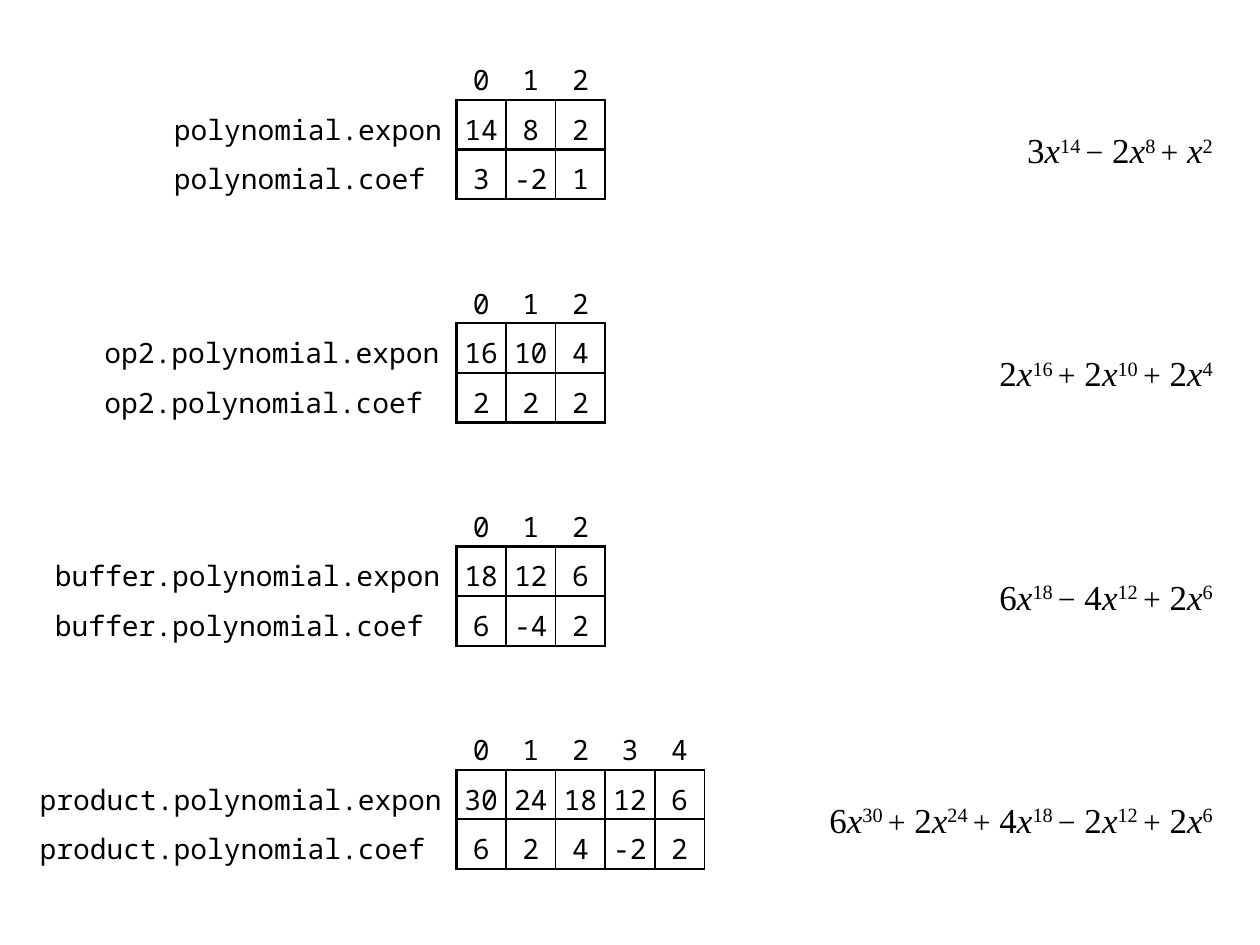
from dataclasses import dataclass

import lxml.etree
import pptx
import pptx.dml.color
import pptx.enum.text
import pptx.oxml.ns
import pptx.util

BLACK = pptx.dml.color.RGBColor(0, 0, 0)
MONO, SERIF = "Noto Sans Mono", "Times New Roman"
ALIGN = pptx.enum.text.PP_ALIGN
MIDDLE = pptx.enum.text.MSO_ANCHOR.MIDDLE

# Grid: square one-centimetre cells
CELL = pptx.util.Cm(1)
ARRAY_LEFT = 9.2 * CELL
FORMULA_RIGHT = 24.7 * CELL
TOP = pptx.util.Inches(0.4)
PITCH = 4.5 * CELL
THIN, THICK = 1, 1.5


@dataclass
class Polynomial:
    name: str
    expon: list[int]
    coef: list[int]
    label_cells: float
    label_inset: float
    formula_cells: float


POLYNOMIALS = [
    Polynomial("polynomial", [14, 8, 2], [3, -2, 1], 6, 0.12, 5),
    Polynomial("op2.polynomial", [16, 10, 4], [2, 2, 2], 7.5, 0.16, 5.5),
    Polynomial("buffer.polynomial", [18, 12, 6], [6, -4, 2], 8.5, 0.16, 5.6),
    Polynomial("product.polynomial", [30, 24, 18, 12, 6], [6, 2, 4, -2, 2], 8.5, 0.04, 10),
]


def add_child(parent, tag: str, **attributes: str):
    return lxml.etree.SubElement(parent, pptx.oxml.ns.qn(tag), **attributes)


def set_borders(cell, widths: dict[str, float]) -> None:
    """Draw the sides named in widths (points) and clear the others."""
    properties = cell._tc.get_or_add_tcPr()
    for side in "LRTB":
        width = widths.get(side, 0)
        line = add_child(properties, f"a:ln{side}", w=str(int(pptx.util.Pt(width))))
        if width:
            add_child(add_child(line, "a:solidFill"), "a:srgbClr", val=str(BLACK))
        else:
            add_child(line, "a:noFill")


def border_widths(row: int, column: int) -> dict[str, float]:
    if column == 0:
        return {"R": THICK} if row else {}
    if row == 0:
        return {"B": THICK}
    return {"L": THICK if column == 1 else THIN, "R": THIN, "T": THICK, "B": THICK}


def add_arrays(slide, poly: Polynomial, top: float) -> None:
    """Table with an index row over the exponent and coefficient arrays."""
    rows = [
        ["", *range(len(poly.expon))],
        [f"{poly.name}.expon", *poly.expon],
        [f"{poly.name}.coef", *poly.coef],
    ]
    label_width = poly.label_cells * CELL
    columns = len(rows[0])
    table = slide.shapes.add_table(
        len(rows), columns, int(ARRAY_LEFT - label_width), int(top),
        int(label_width + (columns - 1) * CELL), len(rows) * CELL).table
    table.first_row = table.horz_banding = False
    for index, column in enumerate(table.columns):
        column.width = CELL if index else int(label_width)

    for r, values in enumerate(rows):
        table.rows[r].height = CELL
        for c, value in enumerate(values):
            cell = table.cell(r, c)
            cell.text = str(value)
            cell.vertical_anchor = MIDDLE
            cell.margin_top = cell.margin_bottom = 0
            cell.margin_left = 0 if c else pptx.util.Inches(poly.label_inset)
            cell.margin_right = 0 if c else pptx.util.Inches(0.1)
            paragraph = cell.text_frame.paragraphs[0]
            paragraph.alignment = ALIGN.CENTER if c else ALIGN.LEFT
            paragraph.line_spacing = 1.25
            paragraph.font.name = MONO
            paragraph.font.size = pptx.util.Pt(16)
            paragraph.font.color.rgb = BLACK
            set_borders(cell, border_widths(r, c))
            cell.fill.background()


def add_run(paragraph, text: str, size: float = 20, italic: bool = False,
            raised: bool = False) -> None:
    run = paragraph.add_run()
    run.text = text
    run.font.size = pptx.util.Pt(size)
    run.font.name = SERIF
    run.font.color.rgb = BLACK
    run.font.italic = italic
    if raised:
        run._r.get_or_add_rPr().set("baseline", "30000")


def add_formula(slide, poly: Polynomial, top: float) -> None:
    """The polynomial in mathematical notation, written from its arrays."""
    width = poly.formula_cells * CELL
    frame = slide.shapes.add_textbox(
        int(FORMULA_RIGHT - width), int(top), int(width), CELL).text_frame
    frame.word_wrap = False
    frame.vertical_anchor = MIDDLE
    frame.margin_top = frame.margin_bottom = 0
    paragraph = frame.paragraphs[0]
    paragraph.alignment = ALIGN.RIGHT
    spacing = add_child(paragraph._p.get_or_add_pPr(), "a:spcBef")
    add_child(spacing, "a:spcPct", val="50000")

    last = len(poly.coef) - 1
    for index, (coef, expon) in enumerate(zip(poly.coef, poly.expon)):
        factor = "" if abs(coef) == 1 else str(abs(coef))
        if index:
            add_run(paragraph, "−" if coef < 0 else "+", size=18)
            factor = " " + factor
        add_run(paragraph, factor)
        add_run(paragraph, "x", italic=True)
        add_run(paragraph, str(expon) if index == last else f"{expon} ", raised=True)


def main() -> None:
    presentation = pptx.Presentation()
    presentation.slide_width = pptx.util.Inches(10)
    presentation.slide_height = pptx.util.Inches(7.5)
    slide = presentation.slides.add_slide(presentation.slide_layouts[6])
    for index, poly in enumerate(POLYNOMIALS):
        top = TOP + index * PITCH
        add_arrays(slide, poly, top)
        add_formula(slide, poly, top + 1.5 * CELL)
    presentation.save("out.pptx")


if __name__ == "__main__":
    main()
